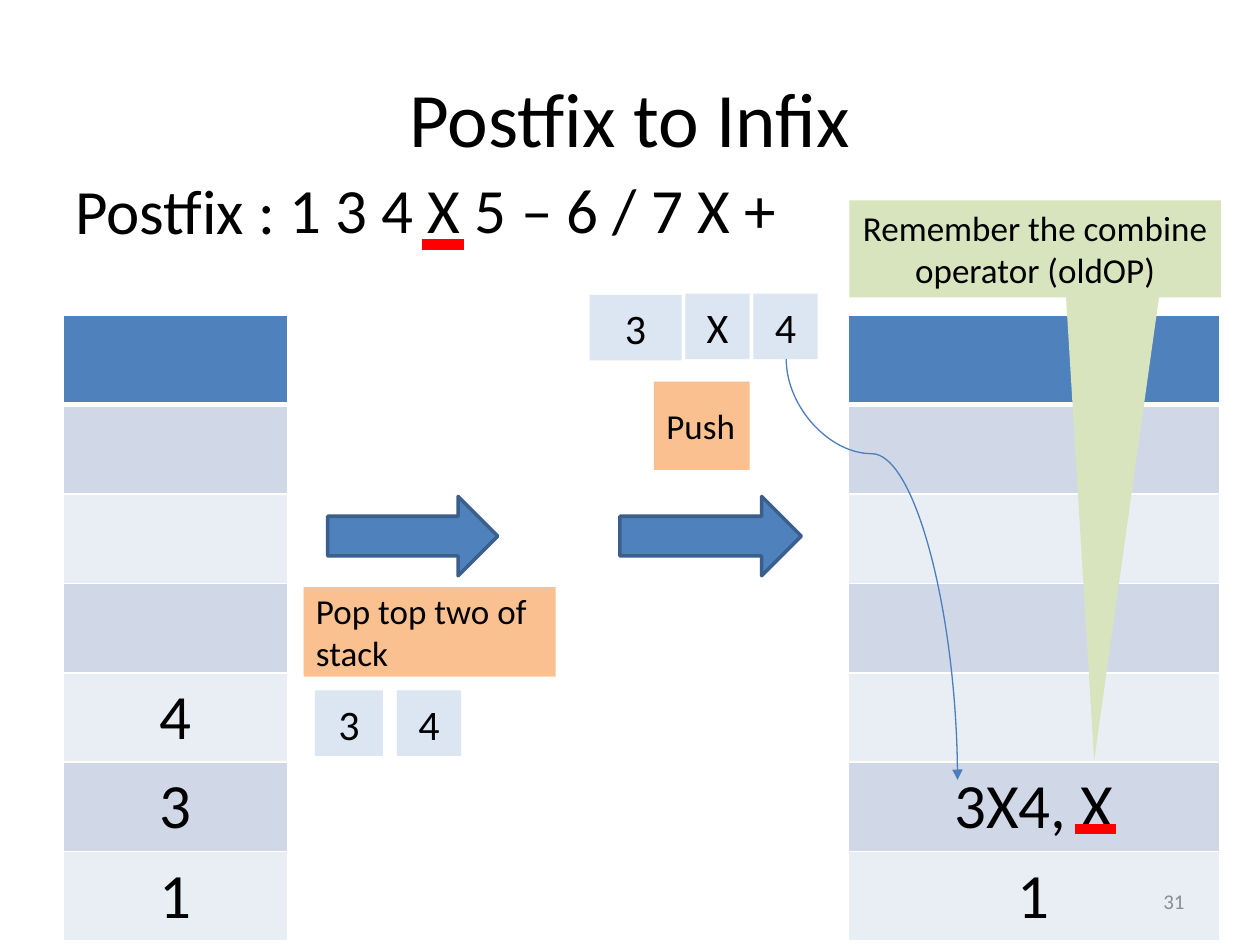
from dataclasses import dataclass

from lxml import etree
from pptx import Presentation
from pptx.dml.color import RGBColor
from pptx.enum.shapes import MSO_CONNECTOR, MSO_SHAPE
from pptx.enum.text import MSO_ANCHOR, PP_ALIGN
from pptx.oxml.ns import qn
from pptx.util import Inches, Pt

LEFT, CENTER, RIGHT = PP_ALIGN.LEFT, PP_ALIGN.CENTER, PP_ALIGN.RIGHT
MIDDLE, TOP = MSO_ANCHOR.MIDDLE, MSO_ANCHOR.TOP
RECTANGLE = MSO_SHAPE.RECTANGLE
RIGHT_ARROW = MSO_SHAPE.RIGHT_ARROW
CALLOUT = MSO_SHAPE.RECTANGULAR_CALLOUT
STRAIGHT, CURVE = MSO_CONNECTOR.STRAIGHT, MSO_CONNECTOR.CURVE
TITLE_ONLY = 5


@dataclass(frozen=True)
class Theme:
    font: str = "Calibri"
    title_size: int = 44
    large_size: int = 36
    token_size: int = 24
    label_size: int = 20
    number_size: int = 12
    text: str = "000000"
    muted: str = "8C8C8C"
    white: str = "FFFFFF"
    blue: str = "4F81BD"
    arrow_line: str = "3A5F8C"
    curve: str = "4B7EBC"
    band_dark: str = "D0D8E8"
    band_light: str = "E9EDF4"
    token: str = "DCE6F2"
    action: str = "FAC090"
    callout: str = "D7E4BD"
    marker: str = "FF0000"


class SlideBuilder:
    def __init__(self, slide, theme):
        self.slide = slide
        self.theme = theme

    def fill_frame(self, frame, text, size, align=LEFT, anchor=MIDDLE, color=None):
        frame.word_wrap = True
        frame.vertical_anchor = anchor
        self.fill_paragraph(frame.paragraphs[0], text, size, align, color)

    def fill_paragraph(self, paragraph, text, size, align, color=None):
        paragraph.alignment = align
        run = paragraph.add_run()
        run.text = text
        run.font.name = self.theme.font
        run.font.size = Pt(size)
        run.font.color.rgb = RGBColor.from_string(color or self.theme.text)

    def title(self, text, left, top, width, height):
        shape = self.slide.shapes.title
        shape.left, shape.top = Inches(left), Inches(top)
        shape.width, shape.height = Inches(width), Inches(height)
        self.fill_frame(shape.text_frame, text, self.theme.title_size, CENTER)

    def text_box(self, text, left, top, width, height, size, **style):
        box = self.slide.shapes.add_textbox(
            Inches(left), Inches(top), Inches(width), Inches(height))
        self.fill_frame(box.text_frame, text, size, **style)

    def shape(self, kind, left, top, width, height, fill, line=None):
        shape = self.slide.shapes.add_shape(
            kind, Inches(left), Inches(top), Inches(width), Inches(height))
        shape.shadow.inherit = False
        shape.fill.solid()
        shape.fill.fore_color.rgb = RGBColor.from_string(fill)
        if line:
            shape.line.color.rgb = RGBColor.from_string(line)
            shape.line.width = Pt(2)
        else:
            shape.line.fill.background()
        return shape

    def token(self, text, left, top, width, height=0.52):
        shape = self.shape(RECTANGLE, left, top, width, height, self.theme.token)
        self.fill_frame(shape.text_frame, text, self.theme.token_size, CENTER)

    def action(self, text, left, top, width, height):
        shape = self.shape(RECTANGLE, left, top, width, height, self.theme.action)
        self.fill_frame(shape.text_frame, text, self.theme.label_size)

    def arrow(self, left, width):
        self.shape(RIGHT_ARROW, left, 3.94, width, 0.63,
                   self.theme.blue, self.theme.arrow_line)

    def callout(self, text, left, top, width, height, tip):
        shape = self.shape(CALLOUT, left, top, width, height, self.theme.callout)
        shape.adjustments[0], shape.adjustments[1] = tip
        self.fill_frame(shape.text_frame, text, self.theme.label_size, CENTER)

    def connector(self, kind, start, end, color, width):
        connector = self.slide.shapes.add_connector(
            kind, *(Inches(value) for value in (*start, *end)))
        connector.line.color.rgb = RGBColor.from_string(color)
        connector.line.width = Pt(width)
        etree.SubElement(connector._element.spPr, qn("a:effectLst"))
        return connector

    def marker(self, left, top):
        self.connector(STRAIGHT, (left, top), (left + 0.33, top),
                       self.theme.marker, 6)

    def curved_arrow(self, start, end, bend):
        center_x, center_y = (start[0] + end[0]) / 2, (start[1] + end[1]) / 2
        half_width, half_height = (end[1] - start[1]) / 2, (end[0] - start[0]) / 2
        connector = self.connector(
            CURVE,
            (center_x + half_width, center_y - half_height),
            (center_x - half_width, center_y + half_height),
            self.theme.curve, 0.75)
        properties = connector._element.spPr
        properties.find(qn("a:xfrm")).set("rot", str(270 * 60000))
        geometry = properties.find(qn("a:prstGeom"))
        guides = geometry.find(qn("a:avLst"))
        if guides is None:
            guides = etree.SubElement(geometry, qn("a:avLst"))
        etree.SubElement(guides, qn("a:gd"), name="adj1",
                         fmla=f"val {round(bend * 100000)}")
        etree.SubElement(properties.find(qn("a:ln")), qn("a:tailEnd"),
                         type="triangle")

    def border(self, cell, side, width):
        line = etree.SubElement(cell._tc.get_or_add_tcPr(), qn(f"a:ln{side}"),
                                w=str(Pt(width)))
        fill = etree.SubElement(line, qn("a:solidFill"))
        etree.SubElement(fill, qn("a:srgbClr"), val=self.theme.white)

    def stack(self, left, width, values, levels=7, row_height=0.71):
        table = self.slide.shapes.add_table(
            levels, 1, Inches(left), Inches(2.5), Inches(width),
            Inches(levels * row_height)).table
        padded = [""] * (levels - len(values)) + values
        for index, text in enumerate(padded):
            cell = table.cell(index, 0)
            for side in "LRTB":
                edge = (index == 0 and side == "B") or (index == 1 and side == "T")
                self.border(cell, side, 3 if edge else 1)
            band = self.theme.band_dark if index % 2 else self.theme.band_light
            cell.fill.solid()
            cell.fill.fore_color.rgb = RGBColor.from_string(
                band if index else self.theme.blue)
            if text:
                self.fill_paragraph(cell.text_frame.paragraphs[0], text,
                                    self.theme.large_size, CENTER)


def main():
    presentation = Presentation()
    presentation.slide_width = Inches(10)
    presentation.slide_height = Inches(7.5)
    theme = Theme()
    slide = presentation.slides.add_slide(presentation.slide_layouts[TITLE_ONLY])
    builder = SlideBuilder(slide, theme)

    builder.text_box("1 3 4 X 5 – 6 / 7 X +", 2.2, 1.3, 6.29, 0.71,
                     theme.large_size, anchor=TOP)
    builder.text_box("Postfix :", 0.5, 1.31, 3.67, 0.71,
                     theme.large_size, anchor=TOP)
    builder.title("Postfix to Infix", 0.5, 0.3, 9, 1.25)
    builder.marker(3.35, 1.94)

    builder.stack(0.5, 1.78, ["4", "3", "1"])
    builder.stack(6.73, 2.95, ["3X4, X", "1"])

    builder.arrow(2.6, 1.35)
    builder.arrow(4.92, 1.44)
    builder.action("Pop top two of stack", 2.41, 4.66, 2, 0.71)
    builder.action("Push", 5.19, 3.03, 0.76, 0.7)

    for text, left, top, width in (
        ("3", 2.5, 5.48, 0.54),
        ("4", 3.15, 5.48, 0.51),
        ("3", 4.68, 2.34, 0.73),
        ("X", 5.44, 2.33, 0.51),
        ("4", 5.98, 2.33, 0.51),
    ):
        builder.token(text, left, top, width)

    builder.curved_arrow((6.24, 2.85), (7.6, 6.19), 0.225)
    builder.marker(8.53, 6.58)
    builder.callout("Remember the combine operator (oldOP)",
                    6.74, 1.59, 2.95, 0.77, (0.159, 5.272))
    builder.text_box("31", 7.17, 6.95, 2.33, 0.4, theme.number_size,
                     align=RIGHT, color=theme.muted)

    presentation.save("out.pptx")


if __name__ == "__main__":
    main()
